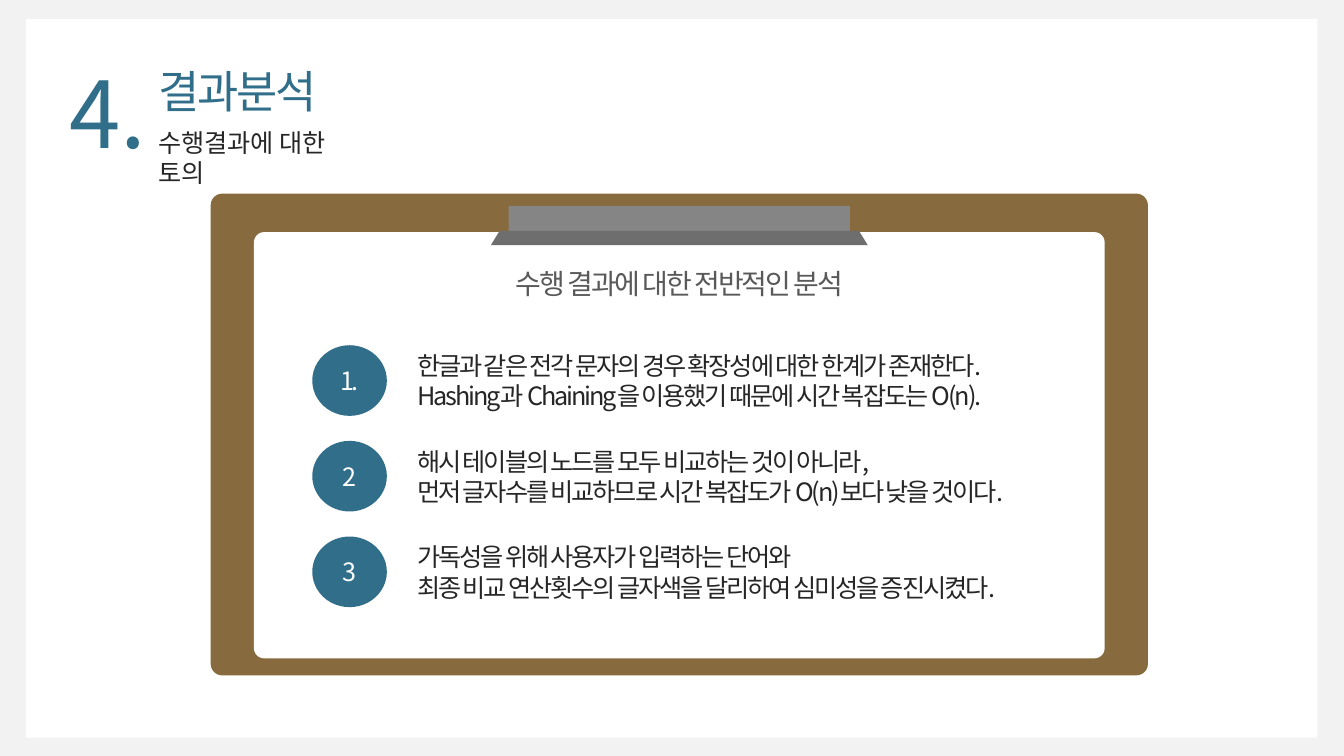
from pptx import Presentation
from pptx.dml.color import RGBColor
from pptx.enum.shapes import MSO_SHAPE
from pptx.enum.text import MSO_ANCHOR, MSO_AUTO_SIZE, PP_ALIGN
from pptx.oxml.ns import qn
from pptx.util import Cm, Pt
from lxml.etree import SubElement

FONT = "Noto Sans CJK KR"
COLORS = {
    "back": "F2F2F2", "white": "FFFFFF", "wood": "876A3E", "clip": "858585",
    "jaw": "6E6E6E", "blue": "306E89", "dark": "262626", "gray": "595959",
}
POINTS = [
    ("1.", ["한글과 같은 전각 문자의 경우 확장성에 대한 한계가 존재한다.",
            "Hashing과 Chaining을 이용했기 때문에 시간 복잡도는 O(n)."]),
    ("2", ["해시 테이블의 노드를 모두 비교하는 것이 아니라,",
           "먼저 글자수를 비교하므로 시간 복잡도가 O(n)보다 낮을 것이다."]),
    ("3", ["가독성을 위해 사용자가 입력하는 단어와",
           "최종 비교 연산횟수의 글자색을 달리하여 심미성을 증진시켰다."]),
]


def rgb(name):
    return RGBColor.from_string(COLORS[name])


def add_shape(s, kind, x, y, w, h, color, adj=None):
    sp = s.shapes.add_shape(kind, Cm(x), Cm(y), Cm(w), Cm(h))
    sp.shadow.inherit = False
    sp.fill.solid()
    sp.fill.fore_color.rgb = rgb(color)
    sp.line.fill.background()
    if adj is not None:
        sp.adjustments[0] = adj
    return sp


def write(sp, lines, size=18, color="dark", align=PP_ALIGN.LEFT,
          anchor=MSO_ANCHOR.TOP, spacing=-150):
    tf = sp.text_frame
    tf.word_wrap = True
    tf.auto_size = MSO_AUTO_SIZE.NONE
    tf.vertical_anchor = anchor
    for i, line in enumerate(lines):
        p = tf.add_paragraph() if i else tf.paragraphs[0]
        p.alignment = align
        p.line_spacing = 1.0
        p.space_before = p.space_after = Pt(0)
        pPr = p._p.get_or_add_pPr()
        pPr.set("marL", "0")
        pPr.set("indent", "0")
        SubElement(pPr, qn("a:buNone"))
        r = p.add_run()
        r.text = line
        r.font.size = Pt(size)
        r.font.bold = False
        r.font.color.rgb = rgb(color)
        r.font.name = FONT
        rPr = r._r.get_or_add_rPr()
        rPr.set("spc", str(spacing))
        SubElement(rPr, qn("a:ea")).set("typeface", FONT)


def place(s, sp, x, y, w, h):
    """Set the box of a placeholder and bring it to the front."""
    sp.left, sp.top, sp.width, sp.height = Cm(x), Cm(y), Cm(w), Cm(h)
    s.shapes._spTree.append(sp._element)
    return sp


def add_textbox(s, x, y, w, h):
    return s.shapes.add_textbox(Cm(x), Cm(y), Cm(w), Cm(h))


def add_header(s, subtitle, x, y):
    write(add_textbox(s, x, y, 2.74, 3.07), ["4."], size=66, color="blue",
          align=PP_ALIGN.CENTER, spacing=0)
    title = place(s, s.shapes.title, x + 2.38, y + 0.17, 4.67, 1.63)
    write(title, ["결과분석"], size=32, color="blue")
    write(place(s, subtitle, x + 2.38, y + 1.77, 5.92, 1.02),
          ["수행결과에 대한 토의"], spacing=0)


def add_clipboard(s, x, y, w, h):
    # Board and paper
    add_shape(s, MSO_SHAPE.ROUNDED_RECTANGLE, x, y, w, h, "wood", 0.024)
    add_shape(s, MSO_SHAPE.ROUNDED_RECTANGLE, x + 1.09, y + 0.97,
              w - 2.18, h - 1.4, "white", 0.024)
    # Clip, centred on the board
    mid = x + w / 2
    add_shape(s, MSO_SHAPE.RECTANGLE, mid - 4.3, y + 0.31, 8.6, 0.66, "clip")
    add_shape(s, MSO_SHAPE.TRAPEZOID, mid - 4.75, y + 0.94, 9.5, 0.36,
              "jaw", 0.612)
    # Heading on the paper
    write(add_textbox(s, mid - 5.65, y + 1.72, 11.3, 1.12),
          ["수행 결과에 대한 전반적인 분석"], size=20, color="gray",
          align=PP_ALIGN.CENTER)


def add_points(s, bodies, x, y, w, pitch):
    for i, (body, (number, lines)) in enumerate(zip(bodies, POINTS)):
        top = y + i * pitch
        disc = add_shape(s, MSO_SHAPE.OVAL, x, top, 1.88, 1.78, "blue")
        write(disc, [number], color="white", align=PP_ALIGN.CENTER,
              anchor=MSO_ANCHOR.MIDDLE)
        write(place(s, body, x + 2.39, top, w - 2.39, 1.8), lines)


def main():
    prs = Presentation()
    prs.slide_width, prs.slide_height = Cm(33.87), Cm(19.05)
    # The Comparison layout has a title and four body placeholders
    s = prs.slides.add_slide(prs.slide_layouts[4])
    s.background.fill.solid()
    s.background.fill.fore_color.rgb = rgb("back")
    subtitle, *bodies = list(s.placeholders)[1:]

    add_shape(s, MSO_SHAPE.RECTANGLE, 0.66, 0.48, 32.54, 18.11, "white")
    add_clipboard(s, 5.31, 4.88, 23.62, 12.14)
    add_points(s, bodies, 7.87, 8.7, 19.9, 2.41)
    add_header(s, subtitle, 1.35, 1.3)
    prs.save("out.pptx")


if __name__ == "__main__":
    main()
